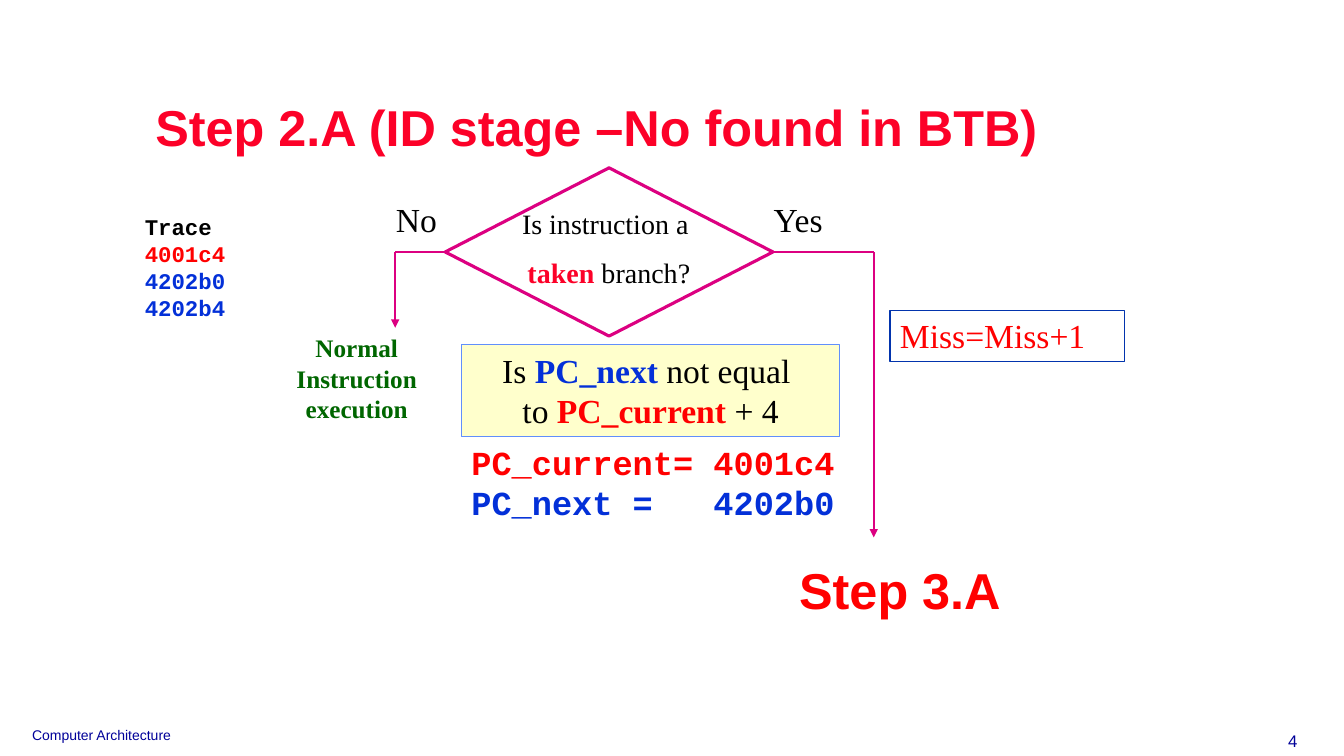
from dataclasses import dataclass

from lxml.etree import SubElement
from pptx import Presentation
from pptx.dml.color import RGBColor as RGB
from pptx.enum.shapes import MSO_CONNECTOR as Line, MSO_SHAPE as Geo
from pptx.enum.text import MSO_ANCHOR as Anchor, PP_ALIGN as Align
from pptx.oxml.ns import qn
from pptx.util import Cm, Pt


@dataclass(frozen=True)
class Theme:
    sans: str = "Arial"
    serif: str = "Times New Roman"
    mono: str = "Courier New"
    black: str = "000000"
    white: str = "FFFFFF"
    crimson: str = "FC0128"
    red: str = "FF0000"
    blue: str = "0330D8"
    green: str = "006600"
    navy: str = "000099"
    magenta: str = "DC0081"
    cream: str = "FFFFCC"
    miss_border: str = "0234AD"
    test_border: str = "618FFD"
    heading: int = 36
    body: int = 24
    question: int = 20
    outcome: int = 18
    trace: int = 16
    number: int = 12
    footer: int = 10


T = Theme()


@dataclass(frozen=True)
class Run:
    text: str
    color: str = T.black
    bold: bool = False


@dataclass(frozen=True)
class Label:
    """Text in a box of (left, top, width, height) cm, optionally filled and framed."""
    box: tuple[float, float, float, float]
    lines: list[list[Run]]
    size: int
    font: str = T.serif
    align: Align = Align.LEFT
    anchor: Anchor = Anchor.TOP
    gap: int = 0
    spacing: float = 1.0
    wrap: bool = True
    tab: float = 0
    fill: str = ""
    border: str = ""


@dataclass(frozen=True)
class Flow:
    start: tuple[float, float]
    end: tuple[float, float]
    arrow: bool = True


NO_X, YES_X, BRANCH_Y = 9.96, 22.02, 6.35
DIAMOND = (11.22, 4.23, 8.26, 4.24)

BRANCH = Flow((NO_X, BRANCH_Y), (YES_X, BRANCH_Y), arrow=False)
ARROWS = [
    Flow((NO_X, BRANCH_Y), (NO_X, 8.26)),
    Flow((YES_X, BRANCH_Y), (YES_X, 13.54)),
]

LABELS = [
    Label((31.93, 18.29, 1.02, 0.76), [[Run("4", T.navy)]], T.number, T.sans,
          Align.RIGHT, wrap=False),
    Label((0.56, 18.19, 15.52, 0.69), [[Run("Computer Architecture", T.navy)]],
          T.footer, T.sans),
    Label((2.34, 1.7, 25.4, 3.18),
          [[Run("Step 2.A (ID stage –No found in BTB)", T.crimson, True)]],
          T.heading, T.sans, Align.CENTER, Anchor.MIDDLE, spacing=0.9),
    Label((12.07, 5.08, 6.55, 2.36),
          [[Run("Is instruction a ")],
           [Run("taken", T.crimson, True), Run(" branch?")]],
          T.question, align=Align.CENTER, gap=11),
    Label((9.73, 4.88, 4.24, 1.27), [[Run("No")]], T.body),
    Label((19.25, 4.88, 4.24, 1.27), [[Run("Yes")]], T.body),
    Label((7.19, 8.26, 3.6, 2.54),
          [[Run("Normal Instruction execution", T.green, True)]],
          T.outcome, align=Align.CENTER),
    Label((22.43, 7.82, 5.92, 1.28), [[Run("Miss=Miss+1", T.red)]], T.body,
          border=T.miss_border),
    Label((11.63, 8.69, 9.53, 2.31),
          [[Run("Is "), Run("PC_next", T.blue, True), Run(" not equal ")],
           [Run("to "), Run("PC_current ", T.red, True), Run("+ 4")]],
          T.body, align=Align.CENTER, fill=T.cream, border=T.test_border),
    Label((11.63, 11, 10.8, 2.31),
          [[Run("PC_current=\t4001c4", T.red, True)],
           [Run("PC_next =\t4202b0", T.blue, True)]],
          T.body, T.mono, tab=6.1),
    Label((19.89, 13.97, 6.15, 1.8), [[Run("Step 3.A", T.red, True)]],
          T.heading, T.sans),
    Label((3.4, 5.23, 3.18, 3),
          [[Run("Trace", T.black, True)], [Run("4001c4", T.red, True)],
           [Run("4202b0", T.blue, True)], [Run("4202b4", T.blue, True)]],
          T.trace, T.mono, anchor=Anchor.MIDDLE),
]


def paint(sp, fill: str, border: str, width: float) -> None:
    sp.shadow.inherit = False
    if fill:
        sp.fill.solid()
        sp.fill.fore_color.rgb = RGB.from_string(fill)
    else:
        sp.fill.background()
    sp.line.color.rgb = RGB.from_string(border)
    sp.line.width = Pt(width)


def add_label(slide, label: Label) -> None:
    box = [Cm(v) for v in label.box]
    if label.border:
        sp = slide.shapes.add_shape(Geo.RECTANGLE, *box)
        paint(sp, label.fill, label.border, 0.75)
    else:
        sp = slide.shapes.add_textbox(*box)
    tf = sp.text_frame
    tf.word_wrap = label.wrap
    tf.vertical_anchor = label.anchor
    for i, line in enumerate(label.lines):
        p = tf.add_paragraph() if i else tf.paragraphs[0]
        p.alignment = label.align
        p.line_spacing = label.spacing
        if i and label.gap:
            p.space_before = Pt(label.gap)
        if label.tab:
            tabs = SubElement(p._p.get_or_add_pPr(), qn("a:tabLst"))
            SubElement(tabs, qn("a:tab"), pos=str(Cm(label.tab)), algn="l")
        for run in line:
            r = p.add_run()
            r.text = run.text
            r.font.name = label.font
            r.font.size = Pt(label.size)
            r.font.bold = run.bold
            r.font.color.rgb = RGB.from_string(run.color)


def add_flow(slide, flow: Flow) -> None:
    ends = [Cm(v) for v in flow.start + flow.end]
    line = slide.shapes.add_connector(Line.STRAIGHT, *ends)
    line.line.color.rgb = RGB.from_string(T.magenta)
    line.line.width = Pt(1.5)
    if flow.arrow:
        SubElement(line.line._get_or_add_ln(), qn("a:tailEnd"), type="triangle")
    SubElement(line._element.spPr, qn("a:effectLst"))


def main() -> None:
    prs = Presentation()
    prs.slide_width, prs.slide_height = Cm(33.87), Cm(19.05)
    slide = prs.slides.add_slide(prs.slide_layouts[6])
    add_flow(slide, BRANCH)
    decision = slide.shapes.add_shape(Geo.FLOWCHART_DECISION, *[Cm(v) for v in DIAMOND])
    paint(decision, T.white, T.magenta, 2.25)
    for arrow in ARROWS:
        add_flow(slide, arrow)
    for label in LABELS:
        add_label(slide, label)
    prs.save("out.pptx")


if __name__ == "__main__":
    main()
